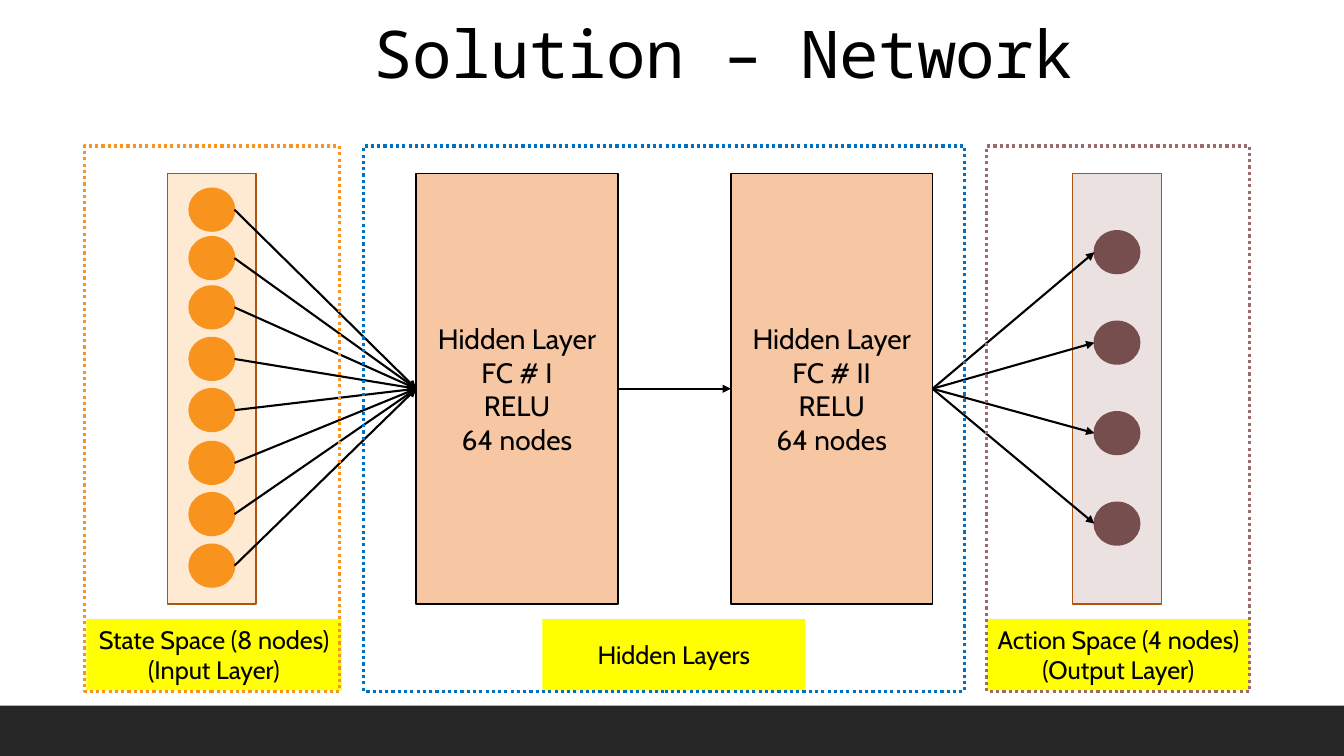
"""Build a slide that shows a network with two hidden layers."""
import pptx
import pptx.util
import pptx.dml.color
import pptx.enum.dml
import pptx.enum.shapes
import pptx.enum.text
import pptx.oxml.ns
import pptx.oxml.xmlchemy

Cm, Pt = pptx.util.Cm, pptx.util.Pt
KIND = pptx.enum.shapes.MSO_SHAPE
ALIGN = pptx.enum.text.PP_ALIGN
ANCHOR = pptx.enum.text.MSO_ANCHOR

TITLE = "Solution – Network"
WIDE, HIGH = 33.87, 19.05
BAR = 1.27
TOP, TALL = 4.37, 10.85
NODE_W, NODE_H = 1.14, 1.07
FRAME_TOP, FRAME_H = 3.68, 13.74
LABEL_TOP, LABEL_H = 15.6, 1.8

LABELS = [
    (24.87, 6.63, ["Action Space (4 nodes)", "(Output Layer)"]),
    (13.67, 6.63, ["Hidden Layers"]),
    (2.18, 6.43, ["State Space (8 nodes)", "(Input Layer)"]),
]
HIDDEN = [
    (10.49, ["Hidden Layer", "FC # I", "RELU", "64 nodes"]),
    (18.42, ["Hidden Layer", "FC # II", "RELU", "64 nodes"]),
]
HIDDEN_W = 5.08
STRIP_W = 2.24
INPUT = {"left": 4.22, "fill": "FEE9D2", "node": "F8931D",
         "tops": [4.75, 5.97, 7.21, 8.51, 9.8, 11.13, 12.42, 13.72]}
OUTPUT = {"left": 27.03, "fill": "EBE1E1", "node": "764E4E",
          "tops": [5.82 + 2.28 * row for row in range(4)]}
FRAMES = [(9.17, 15.14, "0070C0"), (24.87, 6.63, "9C6A6A"),
          (2.13, 6.43, "F8931D")]


def color(hue):
    return pptx.dml.color.RGBColor.from_string(hue)


def apply(item, form):
    for name, value in form.items():
        setattr(item, name, value)


def draw(kind, left, top, width, height, fill=None, line=None, weight=1.25):
    shape = slide.shapes.add_shape(kind, Cm(left), Cm(top), Cm(width), Cm(height))
    shape.shadow.inherit = False
    if fill:
        shape.fill.solid()
        shape.fill.fore_color.rgb = color(fill)
    else:
        shape.fill.background()
    if line:
        shape.line.color.rgb = color(line)
        shape.line.width = Pt(weight)
    else:
        shape.line.fill.background()
    return shape


def write(shape, lines, size):
    frame = shape.text_frame
    apply(frame, {"text": "\n".join(lines), "word_wrap": True,
                  "vertical_anchor": ANCHOR.MIDDLE,
                  "margin_left": 0, "margin_right": 0})
    for para in frame.paragraphs:
        para.alignment = ALIGN.CENTER
        apply(para.font, {"size": Pt(size), "name": "Cabin"})
        para.font.color.rgb = color("000000")


def arrow(start, end):
    link = slide.shapes.add_connector(
        pptx.enum.shapes.MSO_CONNECTOR.STRAIGHT, *map(Cm, start + end))
    link.line.color.rgb = color("000000")
    link.line.width = Pt(1.5)
    make = pptx.oxml.xmlchemy.OxmlElement
    head = make("a:tailEnd")
    head.set("type", "triangle")
    props = link._element.spPr
    props.find(pptx.oxml.ns.qn("a:ln")).append(head)
    props.append(make("a:effectLst"))
    return link


def strip(layer):
    draw(KIND.RECTANGLE, layer["left"], TOP, STRIP_W, TALL, layer["fill"], "AF5310")
    left = layer["left"] + (STRIP_W - NODE_W) / 2
    for top in layer["tops"]:
        draw(KIND.OVAL, left, top, NODE_W, NODE_H, layer["node"], layer["node"])
    return left, [top + NODE_H / 2 for top in layer["tops"]]


deck = pptx.Presentation()
apply(deck, {"slide_width": Cm(WIDE), "slide_height": Cm(HIGH)})
slide = deck.slides.add_slide(deck.slide_layouts[5])

draw(KIND.RECTANGLE, 0, HIGH - BAR, WIDE, BAR, "262626")
for left, width, lines in LABELS:
    write(draw(KIND.RECTANGLE, left, LABEL_TOP, width, LABEL_H, "FFFF00"), lines, 18)

title = slide.shapes.title
apply(title, {"left": Cm(9.17), "top": Cm(0.43), "width": Cm(29.21), "height": Cm(3.68)})
apply(title.text_frame, {"text": TITLE, "word_wrap": True,
                         "vertical_anchor": ANCHOR.TOP,
                         "auto_size": pptx.enum.text.MSO_AUTO_SIZE.NONE})
para = title.text_frame.paragraphs[0]
apply(para, {"alignment": ALIGN.LEFT, "line_spacing": 0.9})
run = para.runs[0]
apply(run.font, {"size": Pt(47), "name": "Noto Sans Mono"})
run.font.color.rgb = color("000000")
run._r.get_or_add_rPr().set("spc", "-50")

in_left, in_mids = strip(INPUT)
out_left, out_mids = strip(OUTPUT)
boxes = []
for left, lines in HIDDEN:
    box = draw(KIND.RECTANGLE, left, TOP, HIDDEN_W, TALL, "F7C6A2", "000000")
    write(box, lines, 20)
    boxes.append(box)
first, second = boxes

mid = TOP + TALL / 2
enter, leave = HIDDEN[0][0], HIDDEN[1][0] + HIDDEN_W
for y in in_mids:
    arrow((in_left + NODE_W, y), (enter, mid)).end_connect(first, 1)
for y in out_mids:
    arrow((leave, mid), (out_left, y)).begin_connect(second, 3)
link = arrow((enter + HIDDEN_W, mid), (HIDDEN[1][0], mid))
link.begin_connect(first, 3)
link.end_connect(second, 1)

for left, width, hue in FRAMES:
    frame = draw(KIND.RECTANGLE, left, FRAME_TOP, width, FRAME_H, None, hue, 2.25)
    frame.line.dash_style = pptx.enum.dml.MSO_LINE.ROUND_DOT

deck.save("out.pptx")
